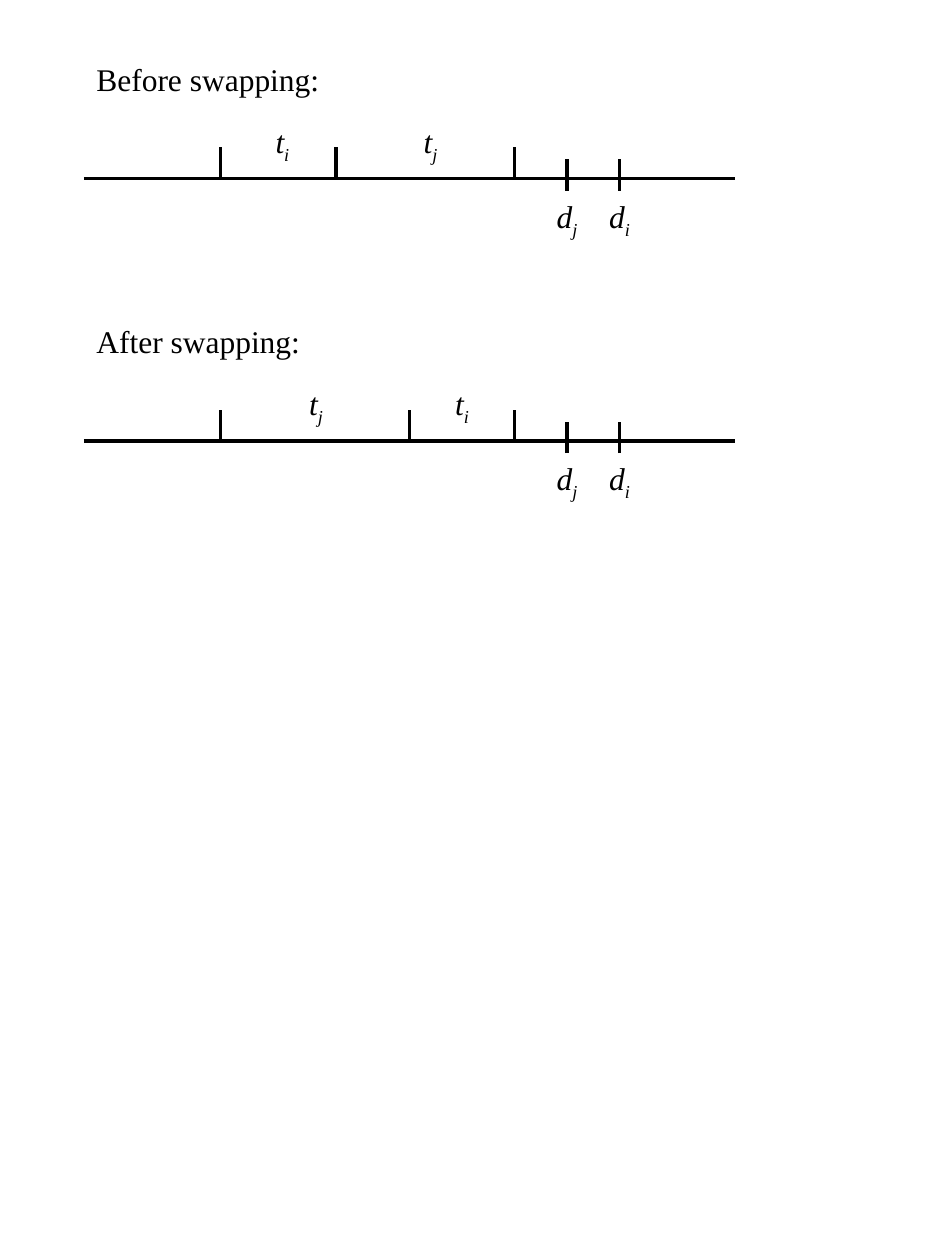
"""Draws two timelines of jobs and deadlines, before and after a swap."""
from dataclasses import dataclass

from lxml import etree
from pptx import Presentation
from pptx import util as u
from pptx.dml import color
from pptx.enum import shapes, text
from pptx.oxml import ns

WIDE, HIGH = 7.5, 10
COLS, ROWS = 90, 120
INK, FONT = "000000", "Times New Roman"
START, END, TICK = 8, 70, 3
DUES = {"j": 54, "i": 59}


@dataclass
class Job:
    name: str
    mid: float


@dataclass
class Stage:
    title: str
    row: float
    ends: tuple[float, ...]
    jobs: tuple[Job, ...]


STAGES = (
    Stage("Before swapping:", 17, (21, 32, 49), (Job("i", 26.9), Job("j", 41))),
    Stage("After swapping:", 42, (21, 39, 49), (Job("j", 30.1), Job("i", 44))),
)


def hue(code: str) -> color.RGBColor:
    return color.RGBColor.from_string(code)


def across(col: float) -> int:
    return u.Inches(WIDE * col / COLS)


def down(row: float) -> int:
    return u.Inches(HIGH * row / ROWS)


def rule(page, x1: float, y1: float, x2: float, y2: float) -> None:
    line = page.shapes.add_connector(
        shapes.MSO_CONNECTOR.STRAIGHT, across(x1), down(y1), across(x2), down(y2))
    line.line.color.rgb = hue(INK)
    line.line.width = u.Pt(2)
    etree.SubElement(line._element.spPr, ns.qn("a:effectLst"))


def write(page, col: float, row: float, wide: float, words: str, sub: str = "") -> None:
    box = page.shapes.add_textbox(across(col), down(row), across(wide), down(4.8))
    frame = box.text_frame
    frame.text = words
    frame.word_wrap = not sub
    frame.auto_size = text.MSO_AUTO_SIZE.SHAPE_TO_FIT_TEXT
    para = frame.paragraphs[0]
    if sub:
        para.alignment = text.PP_ALIGN.CENTER
        low = para.add_run()
        low.text = sub
        low.font._element.set("baseline", "-25000")
    for run in para.runs:
        run.font.name = FONT
        run.font.size = u.Pt(18)
        run.font.italic = bool(sub)
        run.font.color.rgb = hue(INK)


def label(page, mid: float, row: float, wide: float, sign: str, sub: str) -> None:
    write(page, mid - wide / 2, row, wide, sign, sub)


def draw(page, stage: Stage) -> None:
    row = stage.row
    write(page, START, row - 11.9, 26, stage.title)
    rule(page, START, row, END, row)
    for col in stage.ends:
        rule(page, col, row, col, row - TICK)
    for job in stage.jobs:
        label(page, job.mid, row - 6, 3.8, "t", job.name)
    foot = row + 1.15
    for name, col in DUES.items():
        rule(page, col, foot, col, foot - TICK)
        label(page, col, foot, 4.6, "d", name)


def main() -> None:
    deck = Presentation()
    deck.slide_width, deck.slide_height = u.Inches(WIDE), u.Inches(HIGH)
    page = deck.slides.add_slide(deck.slide_layouts[6])
    for stage in STAGES:
        draw(page, stage)
    deck.save("out.pptx")


main()
